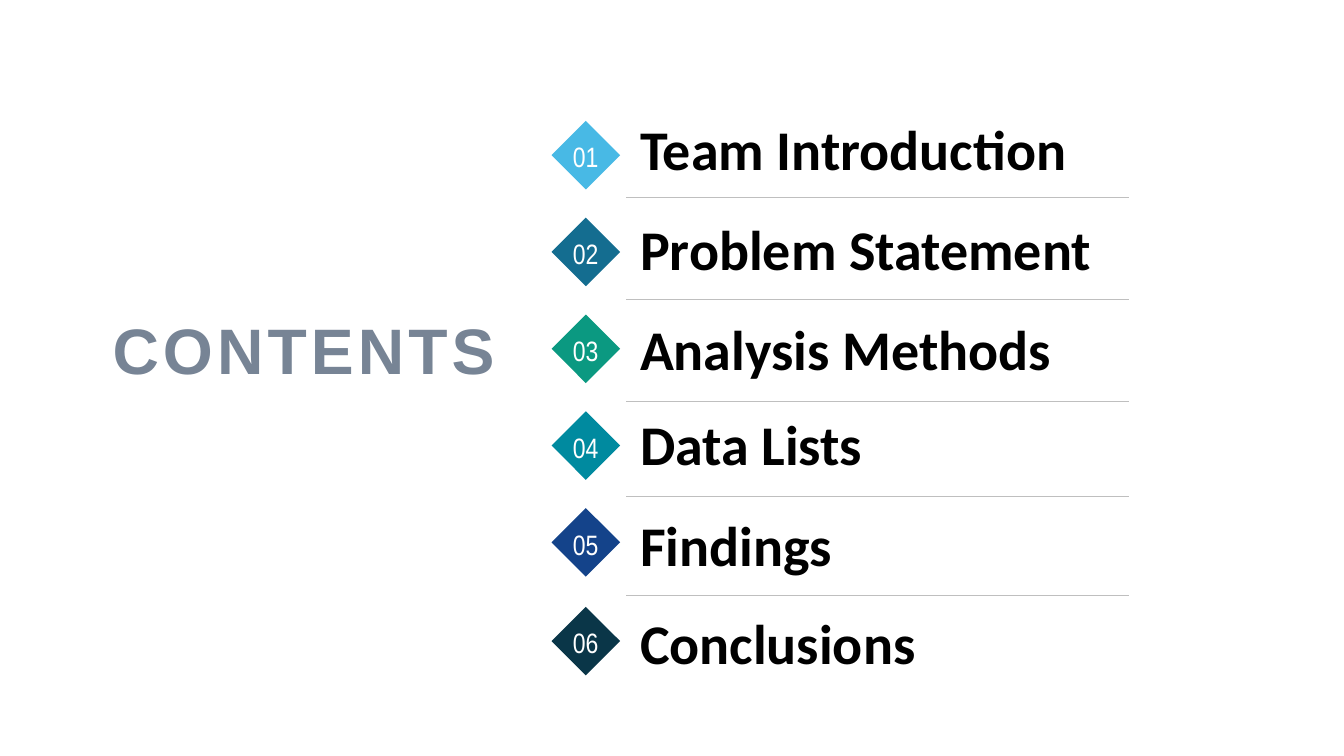
from lxml import etree
from pptx import Presentation
from pptx.dml.color import RGBColor
from pptx.enum.shapes import MSO_CONNECTOR, MSO_SHAPE
from pptx.enum.text import MSO_ANCHOR, MSO_AUTO_SIZE, PP_ALIGN
from pptx.oxml.ns import qn
from pptx.util import Inches, Pt

COLORS = {
    "title": "778495",
    "number": "FFFFFF",
    "label": "000000",
    "rule": "BFBFBF",
    "sky": "48B9E5",
    "blue": "146D90",
    "green": "0B9981",
    "teal": "008A9F",
    "navy": "14438A",
    "ink": "0A3648",
}
FONTS = {
    "title": {"name": "Arial", "size": Pt(45.9), "bold": True},
    "number": {"name": "Arial Narrow", "size": Pt(20), "bold": False},
    "label": {"name": "Calibri", "size": Pt(40), "bold": True},
}
# label, diamond colour, then tops of diamond, label and the rule below
ENTRIES = [
    ("Team Introduction", "sky", 1.2, 1.21, 1.96),
    ("Problem Statement", "blue", 2.16, 2.2, 2.97),
    ("Analysis Methods", "green", 3.12, 3.2, 3.98),
    ("Data Lists", "teal", 4.08, 4.14, 4.92),
    ("Findings", "navy", 5.04, 5.14, 5.9),
    ("Conclusions", "ink", 6.02, 6.11, None),
]
LIST_LEFT, LIST_WIDTH = 5.47, 5.73
DIAMOND_SIZE = 0.68
LABEL_OFFSET, RULE_OFFSET = 0.78, 0.74


def color(name):
    return RGBColor.from_string(COLORS[name])


def write_text(shape, text, style, align, frame_format):
    frame = shape.text_frame
    for name, value in frame_format.items():
        setattr(frame, name, value)
    para = frame.paragraphs[0]
    para.alignment = align
    span = para.add_run()
    span.text = text
    for name, value in FONTS[style].items():
        setattr(span.font, name, value)
    span.font.color.rgb = color(style)
    return span


def add_heading(page, left, top, width, height):
    title = page.shapes.title
    title.left, title.top = Inches(left), Inches(top)
    title.width, title.height = Inches(width), Inches(height)
    span = write_text(title, "CONTENTS", "title", PP_ALIGN.RIGHT, {
        "auto_size": MSO_AUTO_SIZE.NONE,
        "vertical_anchor": MSO_ANCHOR.MIDDLE,
        "word_wrap": True,
        "margin_right": Inches(0.27),
    })
    span.font._element.set("spc", "300")


def add_diamond(page, left, top, number, fill):
    diamond = page.shapes.add_shape(
        MSO_SHAPE.DIAMOND, Inches(left), Inches(top),
        Inches(DIAMOND_SIZE), Inches(DIAMOND_SIZE))
    diamond.shadow.inherit = False
    diamond.fill.solid()
    diamond.fill.fore_color.rgb = color(fill)
    diamond.line.fill.background()
    write_text(diamond, f"{number:02d}", "number", PP_ALIGN.CENTER, {
        "vertical_anchor": MSO_ANCHOR.MIDDLE,
        "word_wrap": False,
        "margin_top": Inches(0.08),
    })


def add_label(page, left, top, width, text):
    box = page.shapes.add_textbox(
        Inches(left), Inches(top), Inches(width), Inches(0.64))
    write_text(box, text, "label", PP_ALIGN.LEFT, {
        "vertical_anchor": MSO_ANCHOR.BOTTOM,
        "word_wrap": True,
    })


def add_rule(page, left, right, top):
    rule = page.shapes.add_connector(
        MSO_CONNECTOR.STRAIGHT,
        Inches(left), Inches(top), Inches(right), Inches(top))
    rule.line.color.rgb = color("rule")
    rule.line.width = Pt(0.25)
    etree.SubElement(rule._element.spPr, qn("a:effectLst"))


def add_contents_list(page, left, width):
    for number, entry in enumerate(ENTRIES, start=1):
        text, fill, diamond_top, label_top, rule_top = entry
        add_diamond(page, left, diamond_top, number, fill)
        add_label(page, left + LABEL_OFFSET, label_top,
                  width - LABEL_OFFSET, text)
        if rule_top is not None:
            add_rule(page, left + RULE_OFFSET, left + width, rule_top)


def main():
    deck = Presentation()
    deck.slide_width, deck.slide_height = Inches(13.33), Inches(7.5)
    page = deck.slides.add_slide(deck.slide_layouts.get_by_name("Title Only"))
    add_heading(page, 0.85, 2.96, 4.33, 1.01)
    add_contents_list(page, LIST_LEFT, LIST_WIDTH)
    deck.save("out.pptx")


if __name__ == "__main__":
    main()
